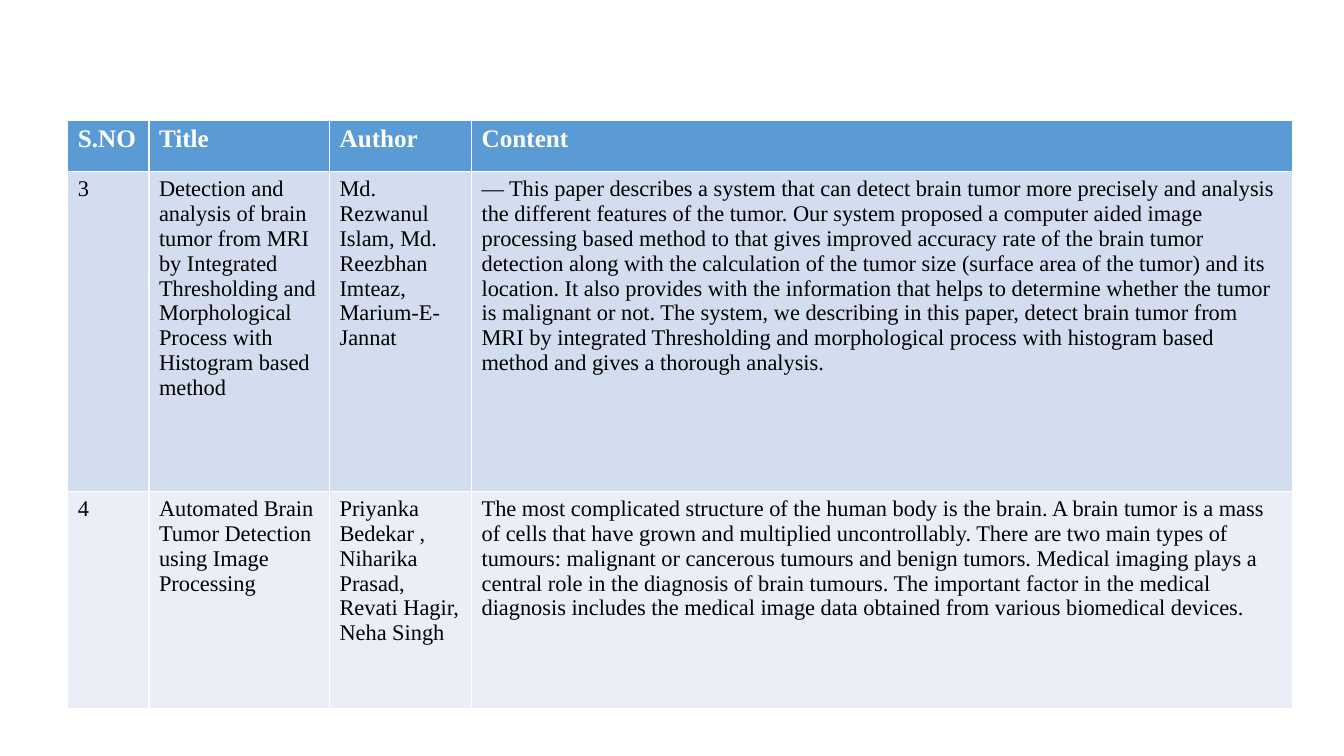
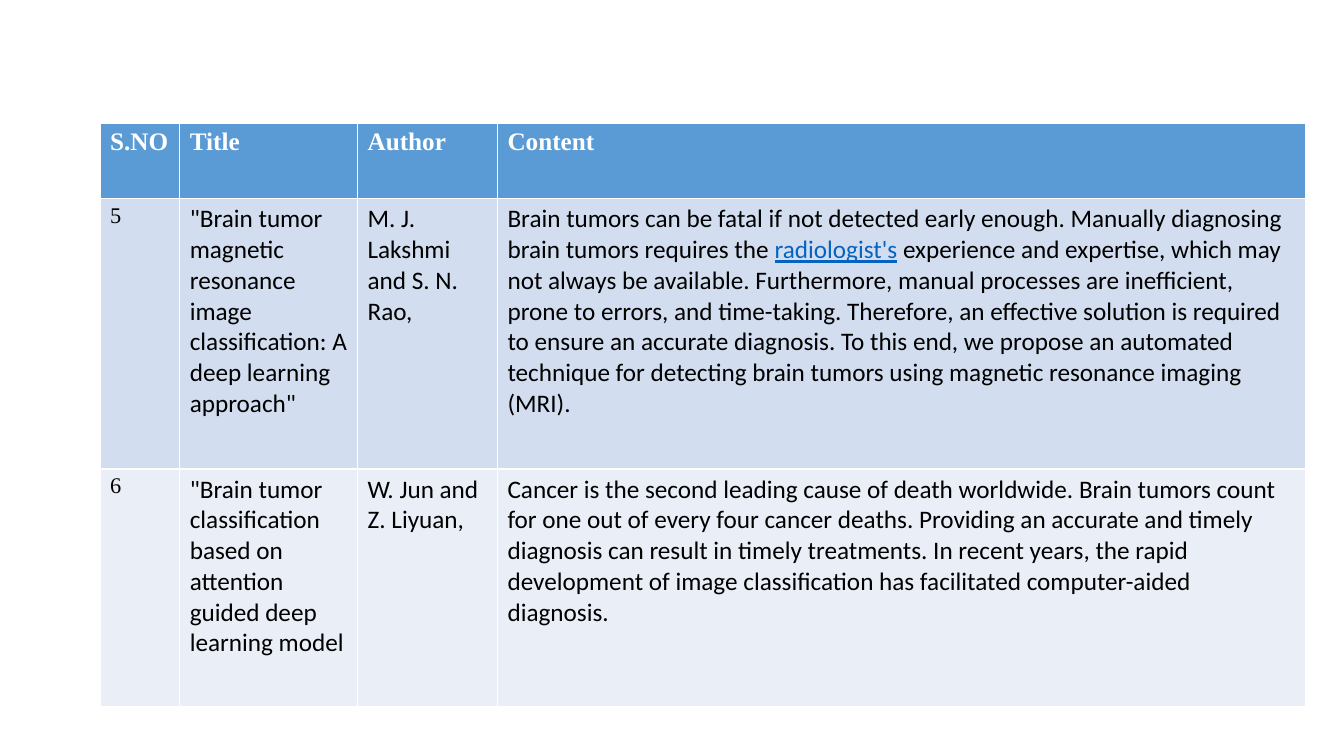
import pptx
import pptx.util
import pptx.dml.color

Pt = pptx.util.Pt

COLORS = {
    "header": "5B9BD5",
    "odd_row": "D2DEEF",
    "even_row": "EAEFF7",
    "white": "FFFFFF",
    "text": "000000",
    "link": "0563C1",
}
SERIF = ("Times New Roman", 16)
SANS = ("Calibri", 18)
HEADER_FONT = ("Times New Roman", 18)
HEADINGS = ["S.NO", "Title", "Author", "Content"]

PAPERS_3_4 = [
    [
        "3",
        "Detection and analysis of brain tumor from MRI by Integrated Thresholding "
        "and Morphological Process with Histogram based method",
        "Md. Rezwanul Islam, Md. Reezbhan Imteaz, Marium-E-Jannat",
        "— This paper describes a system that can detect brain tumor more precisely "
        "and analysis the different features of the tumor. Our system proposed a "
        "computer aided image processing based method to that gives improved accuracy "
        "rate of the brain tumor detection along with the calculation of the tumor "
        "size (surface area of the tumor) and its location. It also provides with the "
        "information that helps to determine whether the tumor is malignant or not. "
        "The system, we describing in this paper, detect brain tumor from MRI by "
        "integrated Thresholding and morphological process with histogram based "
        "method and gives a thorough analysis.",
    ],
    [
        "4",
        "Automated Brain Tumor Detection using Image Processing",
        "Priyanka Bedekar , Niharika Prasad, Revati Hagir, Neha Singh",
        "The most complicated structure of the human body is the brain. A brain tumor "
        "is a mass of cells that have grown and multiplied uncontrollably. There are "
        "two main types of tumours: malignant or cancerous tumours and benign tumors. "
        "Medical imaging plays a central role in the diagnosis of brain tumours. The "
        "important factor in the medical diagnosis includes the medical image data "
        "obtained from various biomedical devices.",
    ],
]

PAPERS_5_6 = [
    [
        "5",
        '"Brain tumor magnetic resonance image classification: A deep learning approach"',
        "M. J. Lakshmi and S. N. Rao,",
        [
            ("Brain tumors can be fatal if not detected early enough. Manually "
             "diagnosing brain tumors requires the ", "text"),
            ("radiologist's", "link"),
            (" experience and expertise, which may not always be available. "
             "Furthermore, manual processes are inefficient, prone to errors, and "
             "time-taking. Therefore, an effective solution is required to ensure an "
             "accurate diagnosis. To this end, we propose an automated technique for "
             "detecting brain tumors using magnetic resonance imaging (MRI).", "text"),
        ],
    ],
    [
        "6",
        '"Brain tumor classification based on attention guided deep learning model',
        "W. Jun and Z. Liyuan,",
        "Cancer is the second leading cause of death worldwide. Brain tumors count for "
        "one out of every four cancer deaths. Providing an accurate and timely "
        "diagnosis can result in timely treatments. In recent years, the rapid "
        "development of image classification has facilitated computer-aided diagnosis.",
    ],
]


def rgb(name):
    """Return the named colour."""
    return pptx.dml.color.RGBColor.from_string(COLORS[name])


def add_run(p, text, font, color, bold=False):
    """Add one formatted run, underlined when it has the link colour."""
    r = p.add_run()
    r.text = text
    r.font.name, size = font
    r.font.size = Pt(size)
    r.font.bold = bold
    r.font.underline = color == "link"
    r.font.color.rgb = rgb(color)


def fill_cell(cell, content, font, fill, color="text", bold=False):
    """Fill a cell with a plain string or a list of coloured runs."""
    cell.fill.solid()
    cell.fill.fore_color.rgb = rgb(fill)
    runs = [(content, color)] if isinstance(content, str) else content
    for text, run_color in runs:
        add_run(cell.text_frame.paragraphs[0], text, font, run_color, bold)


def add_papers_slide(prs, papers, left, top, widths, heights, body_font):
    """Add a slide with a table of papers."""
    s = prs.slides.add_slide(prs.slide_layouts[6])
    table = s.shapes.add_table(
        len(heights), len(widths), Pt(left), Pt(top), Pt(sum(widths)), Pt(sum(heights))
    ).table
    for column, width in zip(table.columns, widths):
        column.width = Pt(width)
    for row, height in zip(table.rows, heights):
        row.height = Pt(height)
    for col, heading in enumerate(HEADINGS):
        fill_cell(table.cell(0, col), heading, HEADER_FONT, "header", "white", True)
    for row, paper in enumerate(papers, 1):
        fill = "odd_row" if row % 2 else "even_row"
        for col, content in enumerate(paper):
            font = body_font if col else SERIF
            fill_cell(table.cell(row, col), content, font, fill)


def main():
    """Build and save the presentation."""
    prs = pptx.Presentation()
    prs.slide_width, prs.slide_height = Pt(960), Pt(540)
    add_papers_slide(prs, PAPERS_3_4, 48.4, 86, [58, 129, 101.5, 586.5],
                     [36.5, 228.5, 155.5], SERIF)
    add_papers_slide(prs, PAPERS_5_6, 71.4, 88, [57, 127, 100, 577.5],
                     [54, 193, 170], SANS)
    prs.save("out.pptx")


if __name__ == "__main__":
    main()
